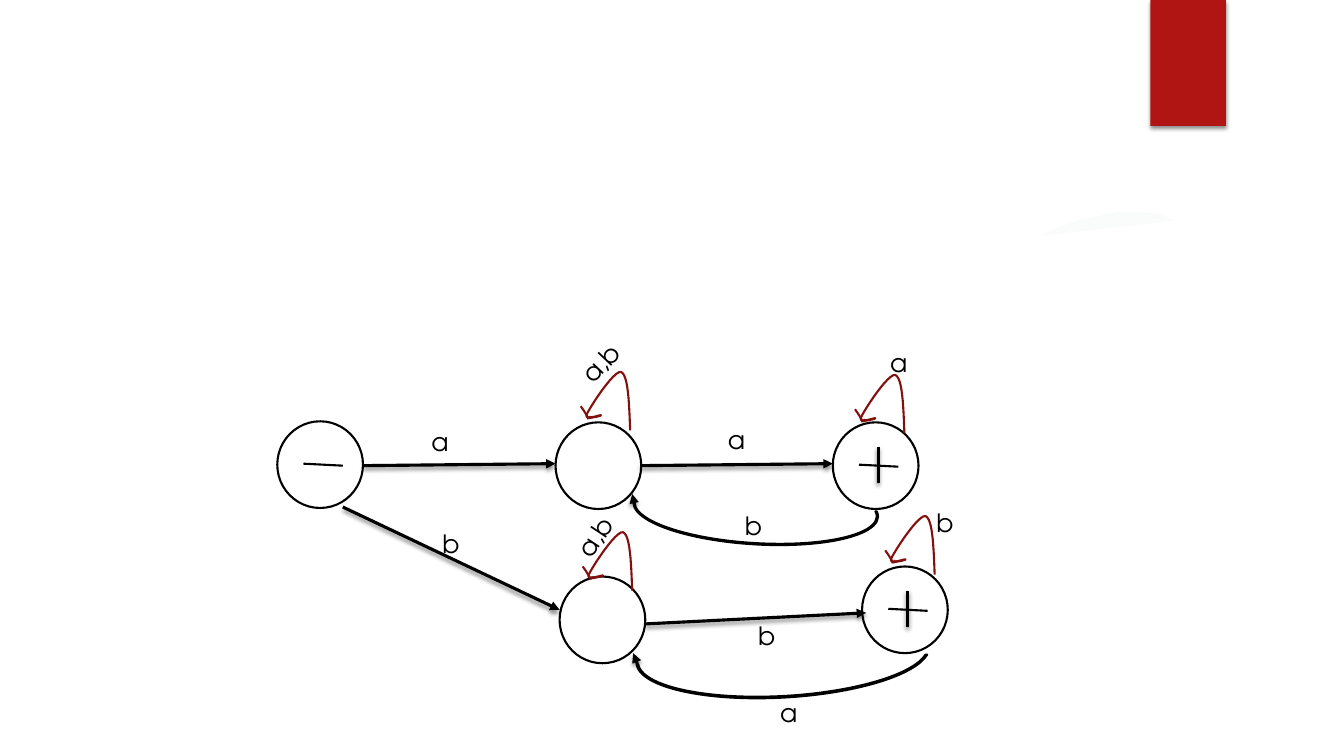
import pptx
import pptx.util
import pptx.dml.color
import pptx.enum.shapes
import pptx.oxml
import pptx.oxml.ns
from dataclasses import dataclass

Inches = pptx.util.Inches
Shape = pptx.enum.shapes.MSO_SHAPE
DRAWING = pptx.oxml.ns.nsdecls("a")


@dataclass(frozen=True)
class Theme:
    ink: str = "000000"
    paper: str = "FFFFFF"
    tab: str = "B01513"
    loop: str = "82100E"
    glow: str = "FAFCFC"
    font: str = "TeX Gyre Adventor"
    label_size: int = 18
    thin: float = 1.5
    thick: float = 2.25


def color(value):
    return pptx.dml.color.RGBColor.from_string(value)


def bezier(start, first, second, end, steps=12):
    """Points along a cubic curve, without its start."""
    points = []
    for step in range(1, steps + 1):
        t = step / steps
        weights = ((1 - t) ** 3, 3 * t * (1 - t) ** 2, 3 * t * t * (1 - t), t ** 3)
        points.append(tuple(
            sum(weight * point[axis] for weight, point in zip(weights, (start, first, second, end)))
            for axis in (0, 1)))
    return points


def curve(start, *segments):
    points = [start]
    for segment in segments:
        points += bezier(points[-1], *segment)
    return points


# Self-loop strokes, measured from the point where the loop leaves its state
LOOP_STROKES = (
    curve((0, 0),
          ((-0.01, -0.28), (-0.02, -0.55), (-0.09, -0.58)),
          ((-0.16, -0.6), (-0.4, -0.23), (-0.43, -0.16)),
          ((-0.46, -0.09), (-0.29, -0.16), (-0.29, -0.15)),
          ((-0.29, -0.14), (-0.42, -0.12), (-0.43, -0.12))),
    curve((-0.49, -0.24),
          ((-0.46, -0.2), (-0.43, -0.15), (-0.42, -0.13)),
          ((-0.4, -0.11), (-0.4, -0.13), (-0.39, -0.14))),
)


class Diagram:
    def __init__(self, page, theme):
        self.page = page
        self.theme = theme

    def add_shadow(self, properties):
        effects = properties.find(pptx.oxml.ns.qn("a:effectLst"))
        effects.append(pptx.oxml.parse_xml(
            f'<a:outerShdw {DRAWING} blurRad="38100" dist="25400" dir="5400000">'
            '<a:srgbClr val="000000"><a:alpha val="45000"/></a:srgbClr></a:outerShdw>'))

    def shape(self, kind, left, top, width, height, fill, line=None):
        item = self.page.shapes.add_shape(
            kind, Inches(left), Inches(top), Inches(width), Inches(height))
        item.shadow.inherit = False
        item.fill.solid()
        item.fill.fore_color.rgb = color(fill)
        if line:
            item.line.color.rgb = color(line)
            item.line.width = pptx.util.Pt(self.theme.thin)
        else:
            item.line.fill.background()
        return item

    def freeform(self, points, fill=None, line=None):
        corners = [(Inches(x), Inches(y)) for x, y in points]
        builder = self.page.shapes.build_freeform(*corners[0])
        builder.add_line_segments(corners[1:], close=fill is not None)
        item = builder.convert_to_shape()
        item.shadow.inherit = False
        if fill:
            item.fill.solid()
            item.fill.fore_color.rgb = color(fill)
        else:
            item.fill.background()
        if line:
            item.line.color.rgb = color(line)
            item.line.width = pptx.util.Pt(self.theme.thin)
        else:
            item.line.fill.background()

    def line(self, start, end, width, arrow=False, shadow=False):
        item = self.page.shapes.add_connector(
            pptx.enum.shapes.MSO_CONNECTOR.STRAIGHT,
            *(Inches(value) for value in (*start, *end)))
        item.line.color.rgb = color(self.theme.ink)
        item.line.width = pptx.util.Pt(width)
        properties = item._element.spPr
        if arrow:
            properties.find(pptx.oxml.ns.qn("a:ln")).append(
                pptx.oxml.parse_xml(f'<a:tailEnd {DRAWING} type="triangle"/>'))
        properties.append(pptx.oxml.parse_xml(f"<a:effectLst {DRAWING}/>"))
        if shadow:
            self.add_shadow(properties)

    def arrow(self, start, end):
        self.line(start, end, self.theme.thick, arrow=True, shadow=True)

    def state(self, left, top, sign=""):
        self.shape(Shape.FLOWCHART_CONNECTOR, left, top, 0.85, 0.86,
                   self.theme.paper, self.theme.ink)
        if sign:
            self.line((left + 0.26, top + 0.42), (left + 0.65, top + 0.44), self.theme.thin)
        if sign == "+":
            self.line((left + 0.45, top + 0.24), (left + 0.45, top + 0.6),
                      self.theme.thick, shadow=True)

    def self_loop(self, left, top):
        for stroke in LOOP_STROKES:
            self.freeform([(left + x, top + y) for x, y in stroke], line=self.theme.loop)

    def return_arc(self, left, top, width, height, rotation, sweep_start, head):
        arc = self.shape(Shape.BLOCK_ARC, left, top, width, height,
                         self.theme.ink, self.theme.ink)
        for index, value in enumerate((sweep_start, 215.752, 0.018)):
            arc.adjustments[index] = value
        arc.rotation = rotation
        self.arrow(*head)

    def label(self, text, left, top, width=0.37, rotation=0):
        box = self.page.shapes.add_textbox(
            Inches(left), Inches(top), Inches(width), Inches(0.4))
        box.rotation = rotation
        box.text_frame.word_wrap = True
        para = box.text_frame.paragraphs[0]
        para.text = text
        para.font.name = self.theme.font
        para.font.size = pptx.util.Pt(self.theme.label_size)
        para.font.color.rgb = color(self.theme.ink)


def main():
    deck = pptx.Presentation()
    deck.slide_width, deck.slide_height = Inches(13.33), Inches(7.5)
    theme = Theme()
    diagram = Diagram(deck.slides.add_slide(deck.slide_layouts[6]), theme)

    # Backdrop: faint glow and red tab
    diagram.freeform([(10.3, 2.34), (10.7, 2.18), (11.1, 2.1), (11.5, 2.12), (11.65, 2.19)],
                     fill=theme.glow)
    tab = diagram.shape(Shape.RECTANGLE, 11.41, 0, 0.75, 1.25, theme.tab)
    diagram.add_shadow(tab._element.spPr)

    # States
    for left, top, sign in ((2.75, 4.18, "-"), (5.51, 4.19, ""), (8.26, 4.19, "+"),
                            (5.55, 5.72, ""), (8.55, 5.62, "+")):
        diagram.state(left, top, sign)

    # Transitions
    for start, end in (((3.6, 4.62), (5.51, 4.6)), ((6.35, 4.62), (8.26, 4.6)),
                       ((3.4, 5.03), (5.55, 6.05)), ((6.4, 6.19), (8.59, 6.08))):
        diagram.arrow(start, end)
    diagram.return_arc(6.28, 4.71, 2.43, 0.69, 183.5, 106.406, ((6.29, 4.99), (6.27, 4.9)))
    diagram.return_arc(6.31, 6.07, 2.91, 0.85, 176.7, 109.959, ((6.32, 6.58), (6.28, 6.48)))

    # Self-loops
    for left, top in ((6.25, 4.27), (6.27, 5.86), (8.97, 4.3), (9.27, 5.7)):
        diagram.self_loop(left, top)

    # Transition labels
    for text, left, top in (("a", 4.18, 4.18), ("a", 7.12, 4.16), ("a", 8.73, 3.4),
                            ("a", 7.64, 6.87), ("b", 9.19, 4.98), ("b", 4.29, 5.19),
                            ("b", 7.29, 5.01), ("b", 7.42, 6.1)):
        diagram.label(text, left, top)
    diagram.label("a,b", 5.65, 3.39, 0.64, 313.3)
    diagram.label("a,b", 5.59, 5.11, 0.64, 303.5)

    deck.save("out.pptx")


if __name__ == "__main__":
    main()
